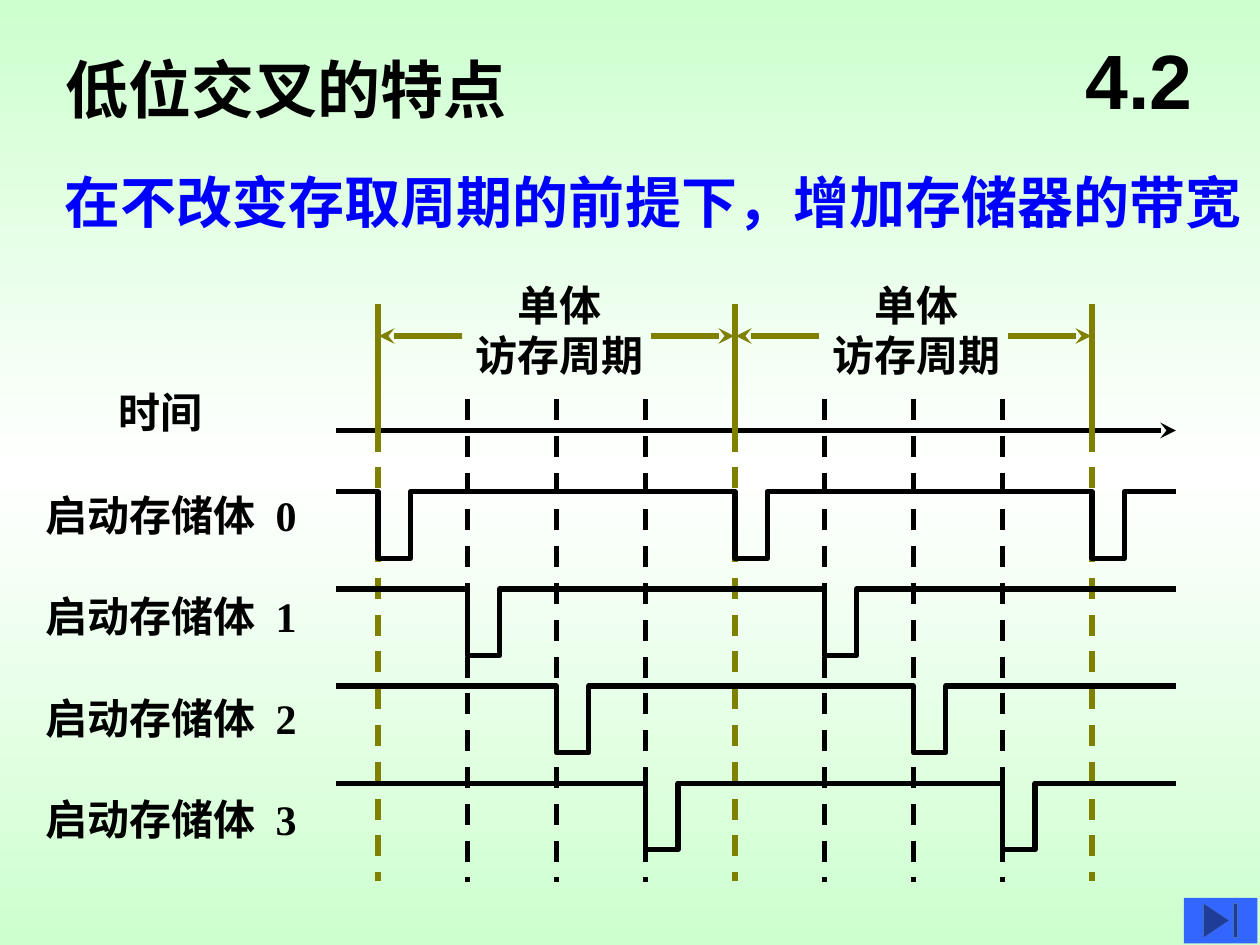
from copy import deepcopy

from lxml import etree
from pptx import Presentation
from pptx import util as u
from pptx.dml.color import RGBColor
from pptx.enum import dml, shapes, text
from pptx.oxml import ns

Pt = u.Pt
BLACK, OLIVE, BLUE = "000000", "808000", "0000FF"


def add_line(slide, x1, y1, x2, y2, color, dashed=False, arrow=False):
    line = slide.shapes.add_connector(
        shapes.MSO_CONNECTOR.STRAIGHT, Pt(x1), Pt(y1), Pt(x2), Pt(y2))
    line.line.color.rgb = RGBColor.from_string(color)
    line.line.width = Pt(3)
    if dashed:
        line.line.dash_style = dml.MSO_LINE.DASH
    properties = line._element.spPr
    if arrow:
        outline = properties.find(ns.qn("a:ln"))
        etree.SubElement(outline, ns.qn("a:tailEnd"), type="stealth")
    etree.SubElement(properties, ns.qn("a:effectLst"))


def write(shape, box, lines, size, color=BLACK, font="Times New Roman",
          align=text.PP_ALIGN.LEFT, anchor=text.MSO_ANCHOR.TOP):
    """Place a text shape and fill it; each line is a list of runs."""
    shape.left, shape.top, shape.width, shape.height = map(Pt, box)
    frame = shape.text_frame
    frame.word_wrap = False
    frame.auto_size = text.MSO_AUTO_SIZE.NONE
    frame.vertical_anchor = anchor
    for index, runs in enumerate(lines):
        paragraph = frame.add_paragraph() if index else frame.paragraphs[0]
        paragraph.alignment = align
        for content in runs:
            run = paragraph.add_run()
            run.text = content
            run.font.name = font
            run.font.size = Pt(size)
            run.font.bold = True
            run.font.color.rgb = RGBColor.from_string(color)
    return frame


presentation = Presentation()
presentation.slide_width, presentation.slide_height = Pt(720), Pt(540)
slide = presentation.slides.add_slide(presentation.slide_layouts[5])

# Background: green to white to green, from top to bottom
fill = slide.background.fill
fill.gradient()
fill.gradient_angle = 270
stop_list = next(slide._element.iter(ns.qn("a:gsLst")))
stop_list.insert(1, deepcopy(stop_list[0]))
for stop, position, color in zip(
        fill.gradient_stops, (0, 0.5, 1), ("CDFFCE", "FFFFFF", "CDFFCE")):
    stop.position = position
    stop.color.rgb = RGBColor.from_string(color)

# Time grid: two access periods, each split into four bank steps
left, right = 192, 672
start, period, banks = 216, 204, 4
step = period / banks
boundaries = [start + period * i for i in range(3)]
for bank in range(1, banks):
    for boundary in boundaries[:2]:
        x = boundary + step * bank
        add_line(slide, x, 228, x, 504, BLACK, dashed=True)
for x in boundaries:
    add_line(slide, x, 246, x, 503.5, OLIVE, dashed=True)

# Headings
write(slide.shapes.title, (30, 25, 267, 50), [["低位交叉的特点"]], 36)
write(slide.shapes.add_textbox(0, 0, 0, 0), (30, 92, 687, 46),
      [["在不改变存取周期的前提下，增加存储器的带宽"]], 32, BLUE)
write(slide.shapes.add_textbox(0, 0, 0, 0), (606, 12, 90, 66), [["4.2"]], 44,
      font="Arial", align=text.PP_ALIGN.CENTER, anchor=text.MSO_ANCHOR.MIDDLE)

# Time axis
write(slide.shapes.add_textbox(0, 0, 0, 0), (60.5, 217.5, 62, 36), [["时间"]], 24)
add_line(slide, left, 246, right, 246, BLACK, arrow=True)

# Start pulse of each bank, with its label
pulse_width, pulse_depth = 18.5, 38
for bank in range(banks):
    high = 281 + 55.5 * bank
    low = high + pulse_depth
    points = []
    for boundary in boundaries:
        fall = boundary + step * bank
        rise = fall + pulse_width
        if rise < right:
            points += [(fall, high), (fall, low), (rise, low), (rise, high)]
    points.append((right, high))
    builder = slide.shapes.build_freeform(Pt(left), Pt(high))
    builder.add_line_segments([(Pt(x), Pt(y)) for x, y in points], close=False)
    wave = builder.convert_to_shape()
    wave.shadow.inherit = False
    wave.fill.background()
    wave.line.color.rgb = RGBColor.from_string(BLACK)
    wave.line.width = Pt(3)

    label = write(slide.shapes.add_textbox(0, 0, 0, 0),
                  (19, 276 + 58 * bank, 158, 36),
                  [["启动存储体", " ", str(bank)]], 24)
    # Widen the gap before the bank number
    label.paragraphs[0].runs[1].font._element.set("spc", "600")

# Access periods: boundaries, arrows and captions
arrow_y = 192
for x in boundaries:
    add_line(slide, x, 174, x, 252, OLIVE)
for begin, end in zip(boundaries, boundaries[1:]):
    add_line(slide, begin + 48, arrow_y, begin + 0.5, arrow_y, OLIVE, arrow=True)
    add_line(slide, end - 48, arrow_y, end - 0.5, arrow_y, OLIVE, arrow=True)
    write(slide.shapes.add_textbox(0, 0, 0, 0), (begin + 48.5, 156, 110, 65),
          [["单体"], ["访存周期"]], 24, align=text.PP_ALIGN.CENTER)

# Navigation button
button = slide.shapes.add_shape(
    shapes.MSO_SHAPE.ACTION_BUTTON_END, Pt(676.5), Pt(513), Pt(42), Pt(26))
button.shadow.inherit = False
button.fill.solid()
button.fill.fore_color.rgb = RGBColor.from_string("3366FF")
button.line.fill.background()

presentation.save("out.pptx")
